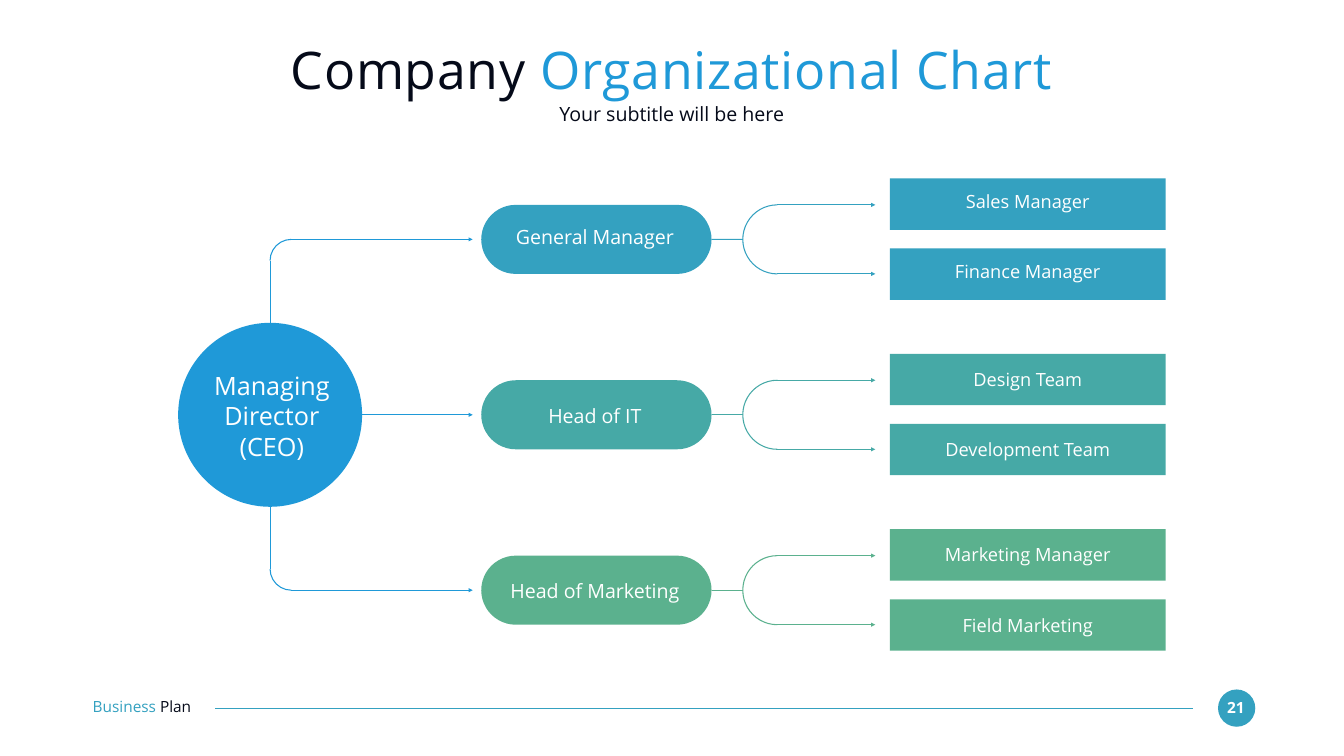
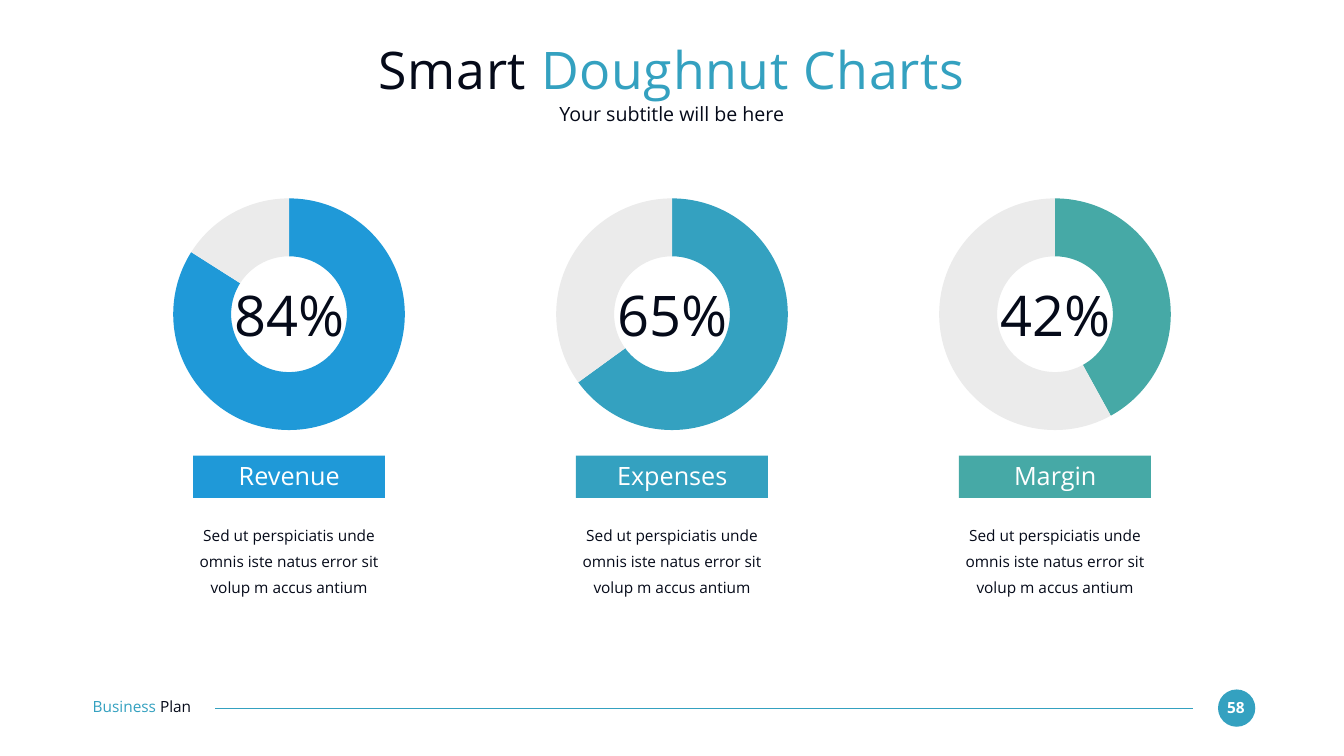
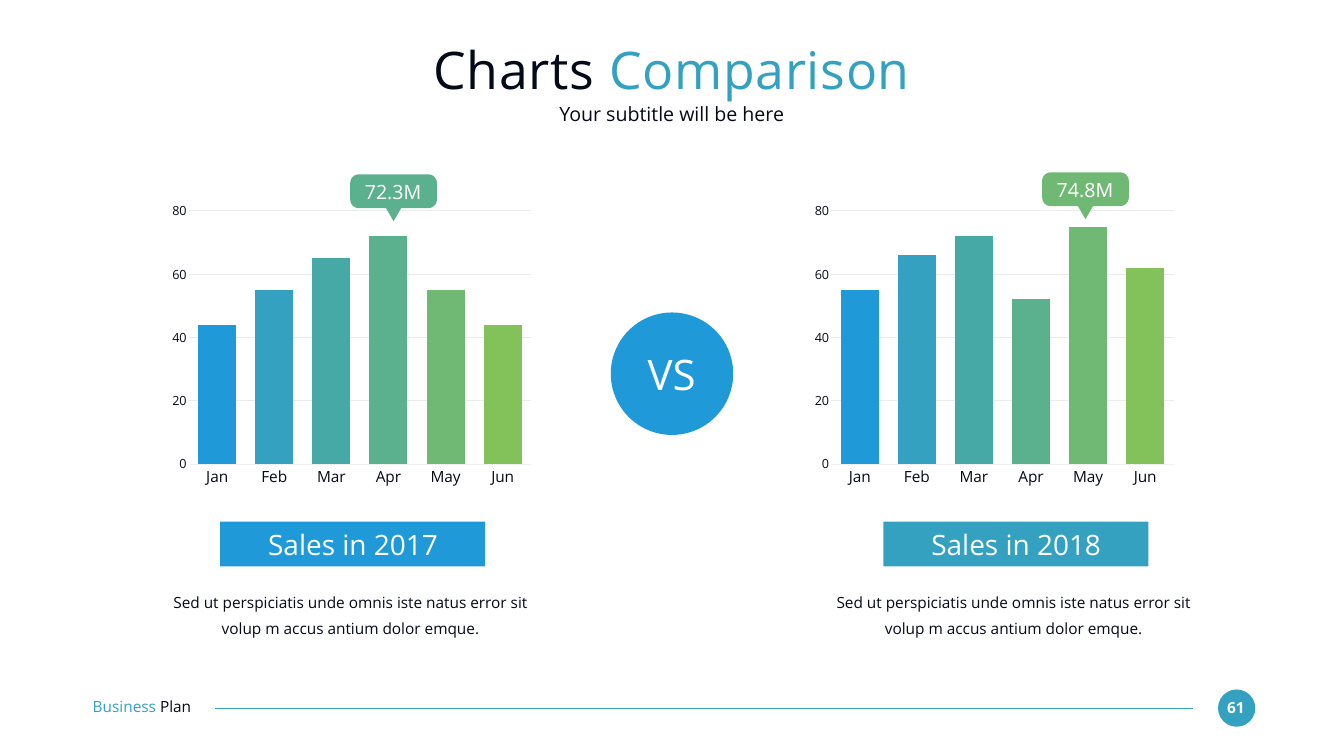
import math
from dataclasses import dataclass

from lxml import etree
from pptx import Presentation
from pptx import util as u
from pptx.chart.data import CategoryChartData
from pptx.dml.color import RGBColor
from pptx.enum import chart as ec, shapes, text
from pptx.oxml.ns import qn

FONT = "Open Sans"
INK, WHITE, GREY, AXIS = "050A19", "FFFFFF", "EBEBEB", "F0F0F0"
BLUE, CYAN, TEAL, GREEN, LEAF, LIME = PALETTE = (
    "1F99D8", "34A1C0", "46A9A6", "5BB18E", "70B974", "83C25A")
RECT, PILL = shapes.MSO_SHAPE.RECTANGLE, shapes.MSO_SHAPE.ROUNDED_RECTANGLE
OVAL, ARC = shapes.MSO_SHAPE.OVAL, shapes.MSO_SHAPE.ARC
FROM_BOTTOM, FROM_LEFT, FROM_TOP = 54, 108, 162


@dataclass
class Branch:
    head: str
    leaves: tuple[str, str]
    color: str
    lift: float = 0


@dataclass
class Share:
    name: str
    percent: int
    color: str


@dataclass
class Year:
    title: str
    values: tuple[int, ...]
    color: str
    left: float
    chart_left: float
    peak: str
    peak_at: tuple[float, float]
    peak_color: str


BRANCHES = [
    Branch("General Manager", ("Sales Manager", "Finance Manager"), CYAN, 0.06),
    Branch("Head of IT", ("Design Team", "Development Team"), TEAL),
    Branch("Head of Marketing", ("Marketing Manager", "Field Marketing"), GREEN),
]
SHARES = [Share("Revenue", 84, BLUE), Share("Expenses", 65, CYAN), Share("Margin", 42, TEAL)]
YEARS = [
    Year("Sales in 2017", (44, 55, 65, 72, 55, 44), BLUE, 3.15, 3.3,
         "72.3M", (6.95, 3.46), GREEN),
    Year("Sales in 2018", (55, 66, 72, 52, 75, 62), CYAN, 16.31, 16.05,
         "74.8M", (20.68, 3.42), LEAF),
]
MONTHS = ("Jan", "Feb", "Mar", "Apr", "May", "Jun")
BLURB = "Sed ut perspiciatis unde omnis iste natus error sit volup m accus antium"


def rgb(color: str) -> RGBColor:
    return RGBColor.from_string(color)


def box(x: float, y: float, w: float, h: float) -> list[int]:
    return [u.Inches(v) for v in (x, y, w, h)]


def paint(fill, color: str) -> None:
    fill.solid()
    fill.fore_color.rgb = rgb(color)


def write(tf, *paragraphs, size=28, color=WHITE, bold=False, align=text.PP_ALIGN.CENTER,
          spacing=None, after=None, tracking=None) -> None:
    tf.word_wrap = True
    tf.margin_left = tf.margin_right = tf.margin_top = tf.margin_bottom = 0
    for i, runs in enumerate(paragraphs):
        p = tf.add_paragraph() if i else tf.paragraphs[0]
        p.alignment = align
        if spacing:
            p.line_spacing = spacing
        if after:
            p.space_after = u.Pt(after)
        for part, part_color in [(runs, color)] if isinstance(runs, str) else runs:
            r = p.add_run()
            r.text = part
            r.font.name, r.font.size, r.font.bold = FONT, u.Pt(size), bold
            r.font.color.rgb = rgb(part_color)
            if tracking:
                r._r.get_or_add_rPr().set("spc", str(tracking))


def label(s, x: float, y: float, w: float, h: float, *paragraphs, **style) -> None:
    tf = s.shapes.add_textbox(*box(x, y, w, h)).text_frame
    write(tf, *paragraphs, **style)
    tf.auto_size = text.MSO_AUTO_SIZE.SHAPE_TO_FIT_TEXT


def block(s, kind, x: float, y: float, w: float, h: float, color: str):
    sp = s.shapes.add_shape(kind, *box(x, y, w, h))
    sp.shadow.inherit = False
    paint(sp.fill, color)
    sp.line.fill.background()
    return sp


def curve(s, x: float, y: float, size: float, start: float, end: float, color: str) -> None:
    sp = s.shapes.add_shape(ARC, *box(x, y, size, size))
    sp.shadow.inherit = False
    sp.adjustments[0], sp.adjustments[1] = start, end
    sp.fill.background()
    sp.line.color.rgb = rgb(color)
    sp.line.width = u.Pt(1.5)


def line(s, x1: float, y1: float, x2: float, y2: float, color: str, arrow=False):
    cx = s.shapes.add_connector(shapes.MSO_CONNECTOR.STRAIGHT, *box(x1, y1, x2, y2))
    cx.line.color.rgb = rgb(color)
    cx.line.width = u.Pt(1.5)
    if arrow:
        ln = cx.line._get_or_add_ln()
        etree.SubElement(ln, qn("a:headEnd")).set("type", "triangle")
    etree.SubElement(cx._element.spPr, qn("a:effectLst"))
    return cx


def callout(s, x: float, y: float, color: str, caption: str) -> None:
    w, h, radius, tail, tip = 1.72, 0.67, 0.17, 0.15, 0.93
    mid = x + w / 2

    def corner(cx: float, cy: float, start: int) -> list[tuple[float, float]]:
        angles = [math.radians(start + step) for step in range(0, 91, 15)]
        return [(cx + radius * math.cos(a), cy + radius * math.sin(a)) for a in angles]

    left, right, top, bottom = x + radius, x + w - radius, y + radius, y + h - radius
    points = [
        *corner(left, top, 180), *corner(right, top, 270), *corner(right, bottom, 0),
        (mid + tail, y + h), (mid, y + tip), (mid - tail, y + h),
        *corner(left, bottom, 90),
    ]
    outline = [(u.Inches(px), u.Inches(py)) for px, py in points]
    builder = s.shapes.build_freeform(*outline[0])
    builder.add_line_segments(outline[1:])
    sp = builder.convert_to_shape()
    sp.shadow.inherit = False
    paint(sp.fill, color)
    sp.line.fill.background()
    label(s, x + 0.13, y + 0.11, 1.44, 0.47, caption)


def add_slide(prs, number: int, lead: str, accent: str, accent_color: str = CYAN):
    s = prs.slides.add_slide(prs.slide_layouts[5])
    block(s, OVAL, 24.17, 13.68, 0.74, 0.74, CYAN)
    label(s, 24.23, 13.85, 0.59, 0.37, str(number), size=22, bold=True)
    line(s, 23.67, 14.05, 4.27, 14.05, CYAN)
    label(s, 1.84, 13.84, 2.59, 0.37, [("Business ", CYAN), ("Plan", INK)],
          size=22, align=text.PP_ALIGN.LEFT)
    title = s.shapes.title
    title.left, title.top, title.width, title.height = box(1.83, 0.73, 23, 1.27)
    tf = title.text_frame
    write(tf, [(lead + " ", INK), (accent, accent_color)], size=74, tracking=100)
    tf.auto_size = text.MSO_AUTO_SIZE.NONE
    tf.vertical_anchor = text.MSO_ANCHOR.MIDDLE
    label(s, 1.83, 2.03, 23, 0.49, "Your subtitle will be here", color=INK)
    return s


def add_chart(s, kind, x: float, y: float, w: float, h: float, cats, values, colors,
              plot_area: tuple[float, float, float, float]):
    data = CategoryChartData()
    data.categories = cats
    data.add_series("Series 1", values)
    chart = s.shapes.add_chart(kind, *box(x, y, w, h), data).chart
    chart.has_legend = chart.has_title = False
    chart.plots[0].vary_by_categories = False
    for i, color in enumerate(colors):
        fmt = chart.plots[0].series[0].points[i].format
        paint(fmt.fill, color)
        fmt.line.fill.background()

    area = chart._chartSpace.xpath(".//c:plotArea")[0]
    for old in area.findall(qn("c:layout")):
        area.remove(old)
    layout = etree.Element(qn("c:layout"))
    area.insert(0, layout)
    manual = etree.SubElement(layout, qn("c:manualLayout"))
    settings = [("layoutTarget", "inner"), ("xMode", "edge"), ("yMode", "edge"),
                *zip("xywh", plot_area)]
    for tag, value in settings:
        etree.SubElement(manual, qn("c:" + tag)).set("val", str(value))
    return chart


def style_font(font, size: int, color: str = INK, name: str = FONT) -> None:
    font.name, font.size = name, u.Pt(size)
    font.color.rgb = rgb(color)


def org_chart(prs) -> None:
    s = add_slide(prs, 21, "Company", "Organizational Chart", BLUE)
    rows = [4.75 + 3.48 * i for i in range(len(BRANCHES))]
    top, middle, bottom = rows
    spine, tip, bend, ceo = 5.36, 9.38, 0.42, 3.65
    block(s, OVAL, spine - ceo / 2, middle - ceo / 2, ceo, ceo, BLUE)
    label(s, 3.72, 7.35, 3.35, 1.82, "Managing Director", "(CEO)", size=36)
    line(s, spine, middle - ceo / 2, spine, top + bend, BLUE)
    line(s, spine, middle + ceo / 2, spine, bottom - bend, BLUE)
    curve(s, spine, top, 2 * bend, FROM_LEFT, FROM_TOP, BLUE)
    curve(s, spine, bottom - 2 * bend, 2 * bend, FROM_BOTTOM, FROM_LEFT, BLUE)
    for y, start in zip(rows, (spine + bend, spine + ceo / 2, spine + bend)):
        line(s, tip, y, start, y, BLUE, arrow=True)

    fork, height = 14.74, 1.37
    for y, branch in zip(rows, BRANCHES):
        pill = block(s, PILL, 9.55, y - height / 2, 4.57, height, branch.color)
        pill.adjustments[0] = 0.5
        label(s, 9.88, y - 0.22 - branch.lift, 3.85, 0.47, branch.head)
        line(s, 14.12, y, fork, y, branch.color).begin_connect(pill, 3)
        curve(s, fork, y - height / 2, height, FROM_BOTTOM, FROM_TOP, branch.color)
        for leaf, side, offset in zip(branch.leaves, (-1, 1), (-1.21, 0.18)):
            end = y + side * height / 2
            line(s, 17.37, end, fork + height / 2, end, branch.color, arrow=True)
            block(s, RECT, 17.66, y + offset, 5.47, 1.02, branch.color)
            label(s, 18.47, y + offset + 0.29 - branch.lift, 3.85, 0.44, leaf, size=26)


def doughnuts(prs) -> None:
    s = add_slide(prs, 58, "Smart", "Doughnut Charts")
    for i, share in enumerate(SHARES):
        x = 3.29 + 7.6 * i
        chart = add_chart(s, ec.XL_CHART_TYPE.DOUGHNUT, x, 3.62, 4.89, 5.23, ("1", "2"),
                          (share.percent, 100 - share.percent), (share.color, GREY),
                          (0.03, 0.06, 0.94, 0.88))
        style_font(chart.font, 10, "999999", "Calibri")
        chart._chartSpace.xpath(".//c:holeSize")[0].set("val", "88")
        block(s, RECT, x + 0.54, 9.04, 3.81, 0.84, share.color)
        label(s, x + 0.9, 9.13, 3.1, 0.61, share.name, size=36)
        label(s, x + 0.29, 10.29, 4.31, 1.56, BLURB, size=22, color=INK, spacing=1.4, after=36)
        label(s, x + 1.26, 5.56, 2.38, 1.35, f"{share.percent}%", size=80, color=INK)


def comparison(prs) -> None:
    s = add_slide(prs, 61, "Charts", "Comparison")
    block(s, OVAL, 12.12, 6.2, 2.43, 2.43, BLUE)
    label(s, 12.61, 6.91, 1.44, 1.01, "VS", size=60)
    for year in YEARS:
        chart = add_chart(s, ec.XL_CHART_TYPE.COLUMN_CLUSTERED, year.chart_left, 3.89, 7.39, 5.84,
                          MONTHS, year.values, PALETTE, (0.06, 0.05, 0.92, 0.86))
        style_font(chart.font, 22)
        chart.plots[0].gap_width = 50
        paint(chart.plots[0].series[0].format.fill, BLUE)
        cat, val = chart.category_axis, chart.value_axis
        for axis, size in ((cat, 22), (val, 18)):
            axis.major_tick_mark = axis.minor_tick_mark = ec.XL_TICK_MARK.NONE
            style_font(axis.tick_labels.font, size)
        cat.format.line.color.rgb = rgb(AXIS)
        cat.format.line.width = u.Pt(0.75)
        val.format.line.fill.background()
        val.minimum_scale, val.maximum_scale, val.major_unit = 0, 80, 20
        val.major_gridlines.format.line.color.rgb = rgb(GREY)
        val.major_gridlines.format.line.width = u.Pt(1)
        block(s, RECT, year.left + 1.22, 10.35, 5.26, 0.89, year.color)
        label(s, year.left + 1.96, 10.46, 3.79, 0.67, year.title, size=40)
        callout(s, *year.peak_at, year.peak_color, year.peak)
        label(s, year.left, 11.63, 7.61, 1.04, BLURB + " dolor emque.",
              size=22, color=INK, spacing=1.4, after=36)


def main() -> None:
    prs = Presentation()
    prs.slide_width, prs.slide_height = u.Inches(26.67), u.Inches(15)
    org_chart(prs)
    doughnuts(prs)
    comparison(prs)
    prs.save("out.pptx")


if __name__ == "__main__":
    main()
